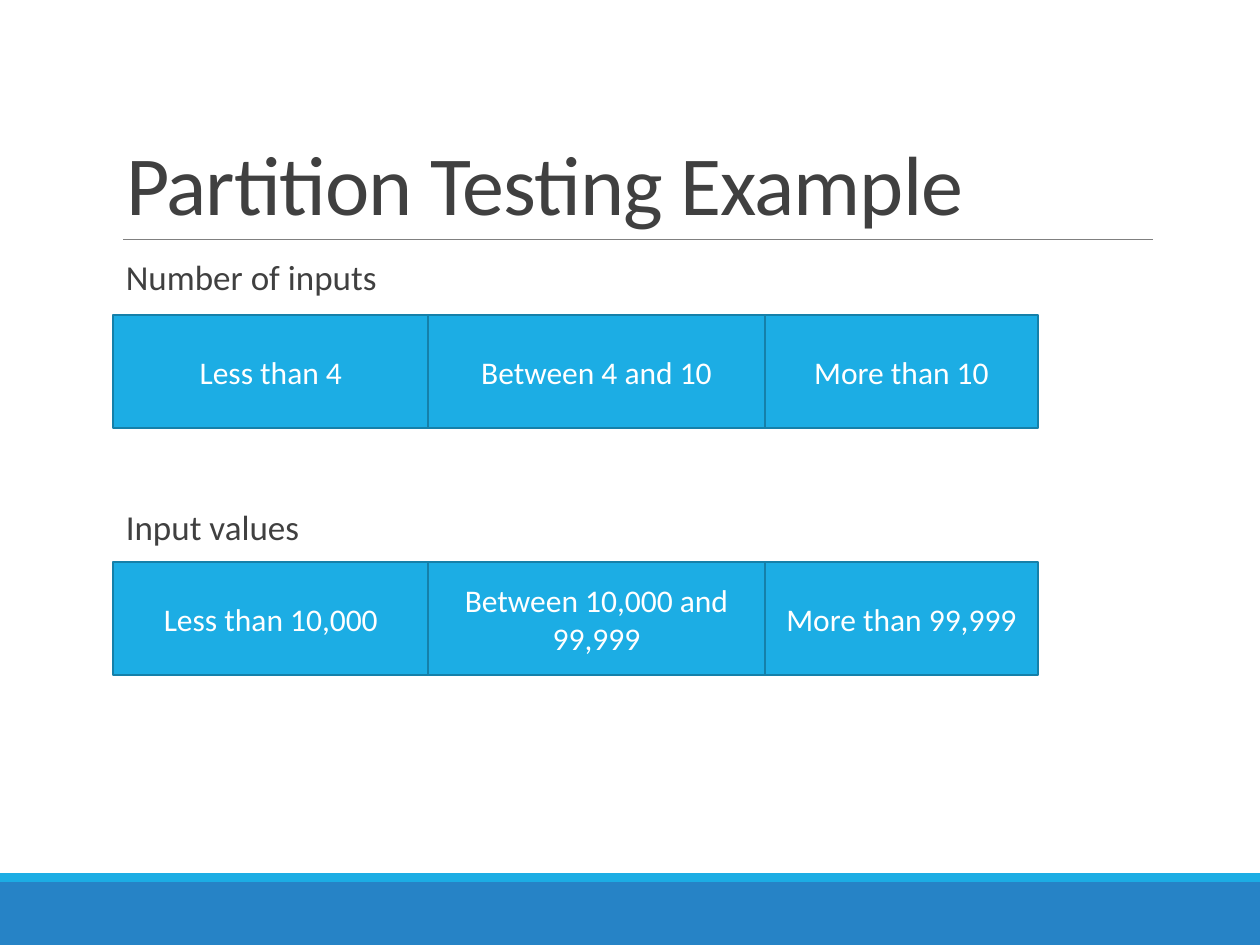
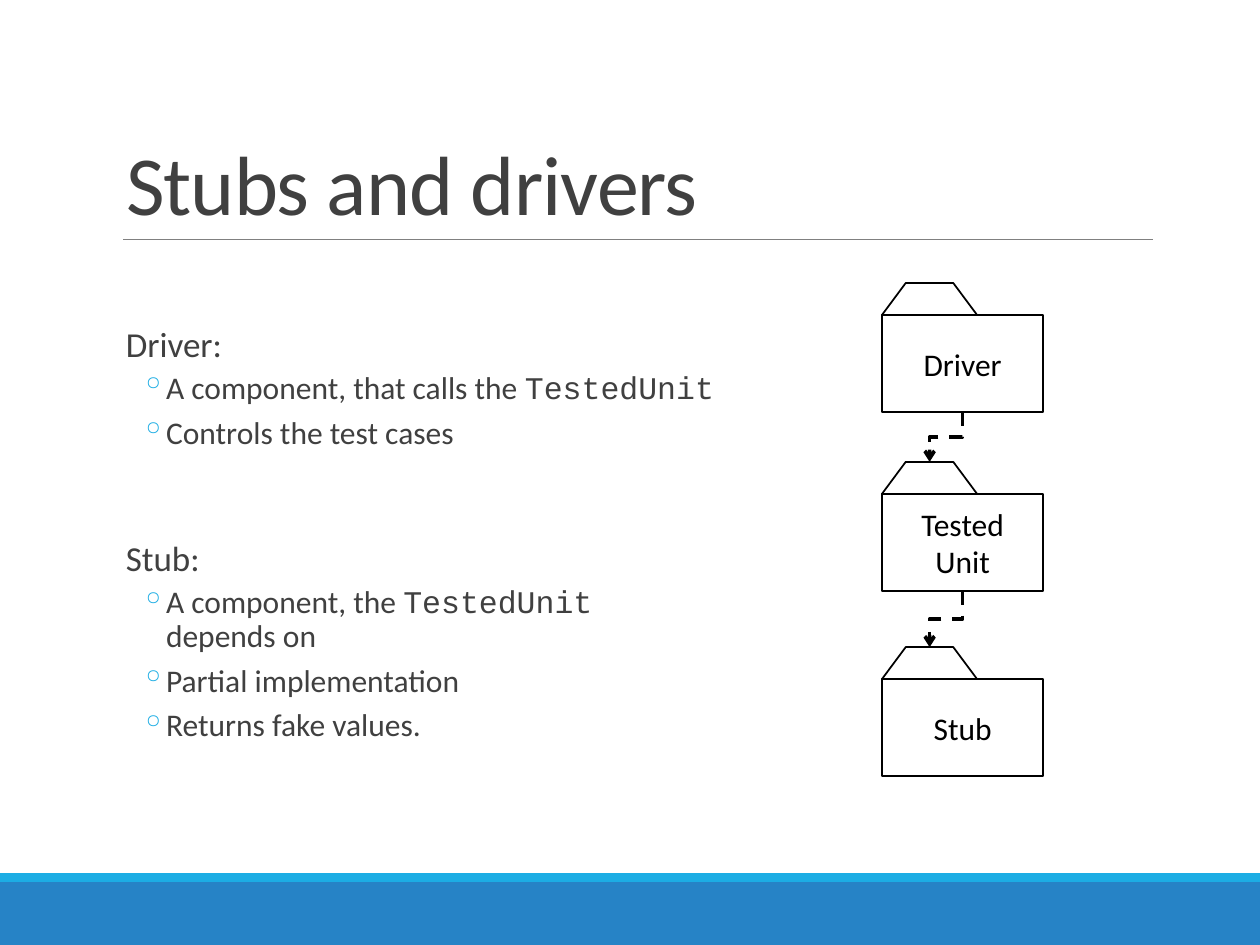
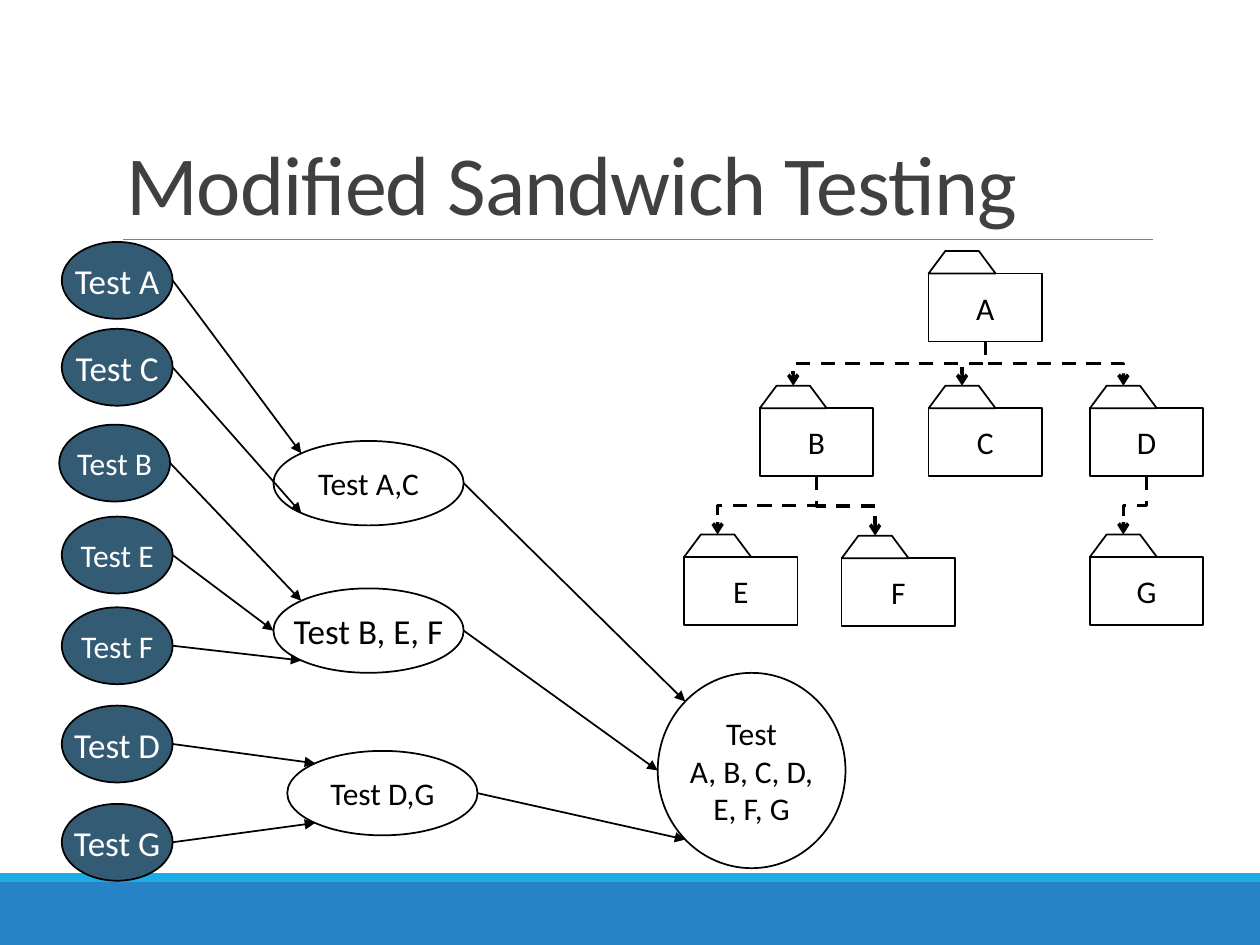
from math import cos, radians, sin

from lxml.etree import SubElement
from pptx import Presentation
from pptx.dml.color import RGBColor
from pptx.enum.dml import MSO_LINE
from pptx.enum.shapes import MSO_CONNECTOR, MSO_SHAPE
from pptx.enum.text import MSO_ANCHOR, MSO_AUTO_SIZE, PP_ALIGN
from pptx.oxml.ns import qn
from pptx.util import Inches, Pt

HUES = {
    "band": "2683C6",
    "sky": "1CADE4",
    "edge": "1580A9",
    "rule": "808080",
    "text": "404040",
    "navy": "335B74",
    "white": "FFFFFF",
    "black": "000000",
}
FONT = "Calibri"
CODE = "Courier New"


def hue(name):
    return RGBColor.from_string(HUES[name])


def style(font, size, color, face=FONT):
    font.name = face
    font.size = Pt(size)
    font.color.rgb = hue(color)


def paint(shape, fill, edge, width=1):
    shape.shadow.inherit = False
    if fill:
        shape.fill.solid()
        shape.fill.fore_color.rgb = hue(fill)
    else:
        shape.fill.background()
    if edge:
        shape.line.color.rgb = hue(edge)
        shape.line.width = Pt(width)
    else:
        shape.line.fill.background()


def block(slide, kind, box, fill, edge=None, width=1):
    shape = slide.shapes.add_shape(kind, *map(Inches, box))
    paint(shape, fill, edge, width)
    return shape


def label(shape, text, size, color, wrap=False):
    frame = shape.text_frame
    frame.text = text
    frame.word_wrap = wrap
    frame.vertical_anchor = MSO_ANCHOR.MIDDLE
    for para in frame.paragraphs:
        para.alignment = PP_ALIGN.CENTER
        for run in para.runs:
            style(run.font, size, color)


def wire(slide, start, end, color="black", width=1, kind=MSO_CONNECTOR.STRAIGHT, dash=None, head=None):
    line = slide.shapes.add_connector(kind, *map(int, (*start, *end)))
    line.line.color.rgb = hue(color)
    line.line.width = Pt(width)
    if dash:
        line.line.dash_style = dash
    props = line._element.spPr
    if head:
        SubElement(props.find(qn("a:ln")), qn("a:tailEnd"), type=head)
    SubElement(props, qn("a:effectLst"))
    return line


def base(deck, text):
    slide = deck.slides.add_slide(deck.slide_layouts[5])
    block(slide, MSO_SHAPE.RECTANGLE, (0, 7, 10, 0.5), "band")
    block(slide, MSO_SHAPE.RECTANGLE, (0, 6.93, 10, 0.07), "sky")
    wire(slide, (Inches(0.98), Inches(1.9)), (Inches(9.15), Inches(1.9)), "rule", 0.5)
    title = slide.shapes.title
    title.left, title.top, title.width, title.height = map(Inches, (0.9, 0.31, 8.25, 1.59))
    frame = title.text_frame
    frame.text = text
    frame.word_wrap = True
    frame.auto_size = MSO_AUTO_SIZE.NONE
    frame.vertical_anchor = MSO_ANCHOR.BOTTOM
    para = frame.paragraphs[0]
    para.alignment = PP_ALIGN.LEFT
    para.line_spacing = 0.85
    run = para.runs[0]
    style(run.font, 48, "text")
    run._r.get_or_add_rPr().set("spc", "-50")
    return slide


def notes(slide, box, head, items=()):
    frame = slide.shapes.add_textbox(*map(Inches, box)).text_frame
    frame.word_wrap = True
    frame.margin_left = Inches(0.1)
    frame.margin_right = 0
    para = frame.paragraphs[0]
    para.text = head
    para.line_spacing = 0.9
    para.space_after = Pt(2)
    style(para.runs[0].font, 20, "text")
    for parts in items:
        para = frame.add_paragraph()
        props = para._p.get_or_add_pPr()
        props.set("marL", str(Inches(0.32)))
        props.set("indent", str(Inches(-0.2)))
        SubElement(SubElement(props, qn("a:buClr")), qn("a:srgbClr"), val=HUES["sky"])
        SubElement(props, qn("a:buChar"), char="◦")
        para.line_spacing = 0.9
        para.space_before = Pt(2)
        para.space_after = Pt(4)
        for part in parts:
            if part == "\n":
                para.add_line_break()
                continue
            run = para.add_run()
            run.text = part
            style(run.font, 18, "text", CODE if part == "TestedUnit" else FONT)


def ranges(slide, left, top, names):
    for name, width in zip(names, (2.5, 2.67, 2.17)):
        cell = block(slide, MSO_SHAPE.RECTANGLE, (left, top, width, 0.9), "sky", "edge", 1.25)
        label(cell, name, 18, "white", True)
        left += width


def folder(slide, left, top, width, height, name):
    body = block(slide, MSO_SHAPE.RECTANGLE, (left, top, width, height), "white", "black")
    label(body, name, 18, "black")
    wide, tall = width * 0.59, height * 0.33
    points = [
        (Inches(left + wide * part), Inches(top - rise))
        for part, rise in ((0, 0), (0.25, tall), (0.75, tall), (1, 0))
    ]
    path = slide.shapes.build_freeform(*points[0])
    path.add_line_segments(points[1:], close=True)
    tab = path.convert_to_shape()
    paint(tab, "white", "black")
    return body, tab


def depend(slide, upper, lower):
    body, tab = upper[0], lower[1]
    x1, y1 = body.left + body.width // 2, body.top + body.height
    x2, y2 = tab.left + tab.width // 2, tab.top
    long, wide = y2 - y1, abs(x2 - x1)
    left, top = (x1 + x2 - long) // 2, (y1 + y2 - wide) // 2
    line = wire(slide, (left, top), (left + long, top + wide), width=2,
                kind=MSO_CONNECTOR.ELBOW, dash=MSO_LINE.DASH, head="arrow")
    frame = line._element.spPr.find(qn("a:xfrm"))
    frame.set("rot", str((90 if x2 < x1 else 270) * 60000))
    if x2 > x1:
        frame.set("flipH", "1")


def spoke(oval, angle):
    turn = radians(angle)
    return (oval.left + oval.width * (1 + cos(turn)) / 2,
            oval.top + oval.height * (1 + sin(turn)) / 2)


def bubble(slide, box, text, size, fill=None):
    oval = block(slide, MSO_SHAPE.OVAL, box, fill, "black")
    label(oval, text, size, "white" if fill else "black")
    return oval


def flow(slide, left, top):
    tests = {}
    for name, dx, dy, size in (
        ("A", 0.02, 0, 20), ("C", 0.02, 0.69, 20), ("B", 0, 1.45, 18), ("E", 0.02, 2.18, 18),
        ("F", 0.02, 2.9, 18), ("D", 0.02, 3.68, 20), ("G", 0.02, 4.46, 20),
    ):
        box = (left + dx, top + dy, 0.88, 0.61)
        tests[name] = bubble(slide, box, f"Test {name}", size, "navy")
    final = bubble(slide, (left + 4.75, top + 3.42, 1.49, 1.55), "Test\nA, B, C, D,\nE, F, G", 18)
    for text, dx, dy, size, feeds, goal in (
        ("Test A,C", 1.7, 1.58, 18, (("A", 225), ("C", 135)), 225),
        ("Test B, E, F", 1.7, 2.75, 20, (("B", 225), ("E", 180), ("F", 135)), 180),
        ("Test D,G", 1.81, 4.04, 18, (("D", 225), ("G", 135)), 135),
    ):
        group = bubble(slide, (left + dx, top + dy, 1.51, 0.67), text, size)
        for name, angle in feeds:
            wire(slide, spoke(tests[name], 0), spoke(group, angle), head="triangle")
        wire(slide, spoke(group, 0), spoke(final, goal), head="triangle")


def tree(slide, left, top):
    nodes = {
        name: folder(slide, left + dx, top + dy, 0.9, 0.54, name)
        for name, dx, dy in (
            ("A", 1.94, 0), ("B", 0.6, 1.07), ("C", 1.94, 1.07), ("D", 3.22, 1.07),
            ("E", 0, 2.25), ("F", 1.25, 2.26), ("G", 3.22, 2.25),
        )
    }
    for upper, lower in ("AB", "AC", "AD", "BE", "BF", "DG"):
        depend(slide, nodes[upper], nodes[lower])


def stack(slide, left, top):
    nodes = [
        folder(slide, left, top + dy, 1.28, 0.77, name)
        for name, dy in (("Driver", 0), ("Tested\nUnit", 1.42), ("Stub", 2.89))
    ]
    for upper, lower in zip(nodes, nodes[1:]):
        depend(slide, upper, lower)


def main():
    deck = Presentation()
    deck.slide_width, deck.slide_height = Inches(10), Inches(7.5)

    slide = base(deck, "Partition Testing Example")
    notes(slide, (0.9, 2.02, 8.25, 0.4), "Number of inputs")
    ranges(slide, 0.9, 2.5, ("Less than 4", "Between 4 and 10", "More than 10"))
    notes(slide, (0.9, 4, 8.25, 0.4), "Input values")
    ranges(slide, 0.9, 4.46, ("Less than 10,000", "Between 10,000 and 99,999", "More than 99,999"))

    slide = base(deck, "Stubs and drivers")
    notes(slide, (0.9, 2.55, 5.9, 1.2), "Driver:", (
        ("A component, that calls the ", "TestedUnit"),
        ("Controls the test cases",),
    ))
    notes(slide, (0.9, 4.25, 5.9, 1.8), "Stub:", (
        ("A component, the ", "TestedUnit", "\n", "depends on"),
        ("Partial implementation",),
        ("Returns fake values.",),
    ))
    stack(slide, 7, 2.5)

    slide = base(deck, "Modified Sandwich Testing")
    flow(slide, 0.47, 1.92)
    tree(slide, 5.43, 2.17)

    deck.save("out.pptx")


if __name__ == "__main__":
    main()
